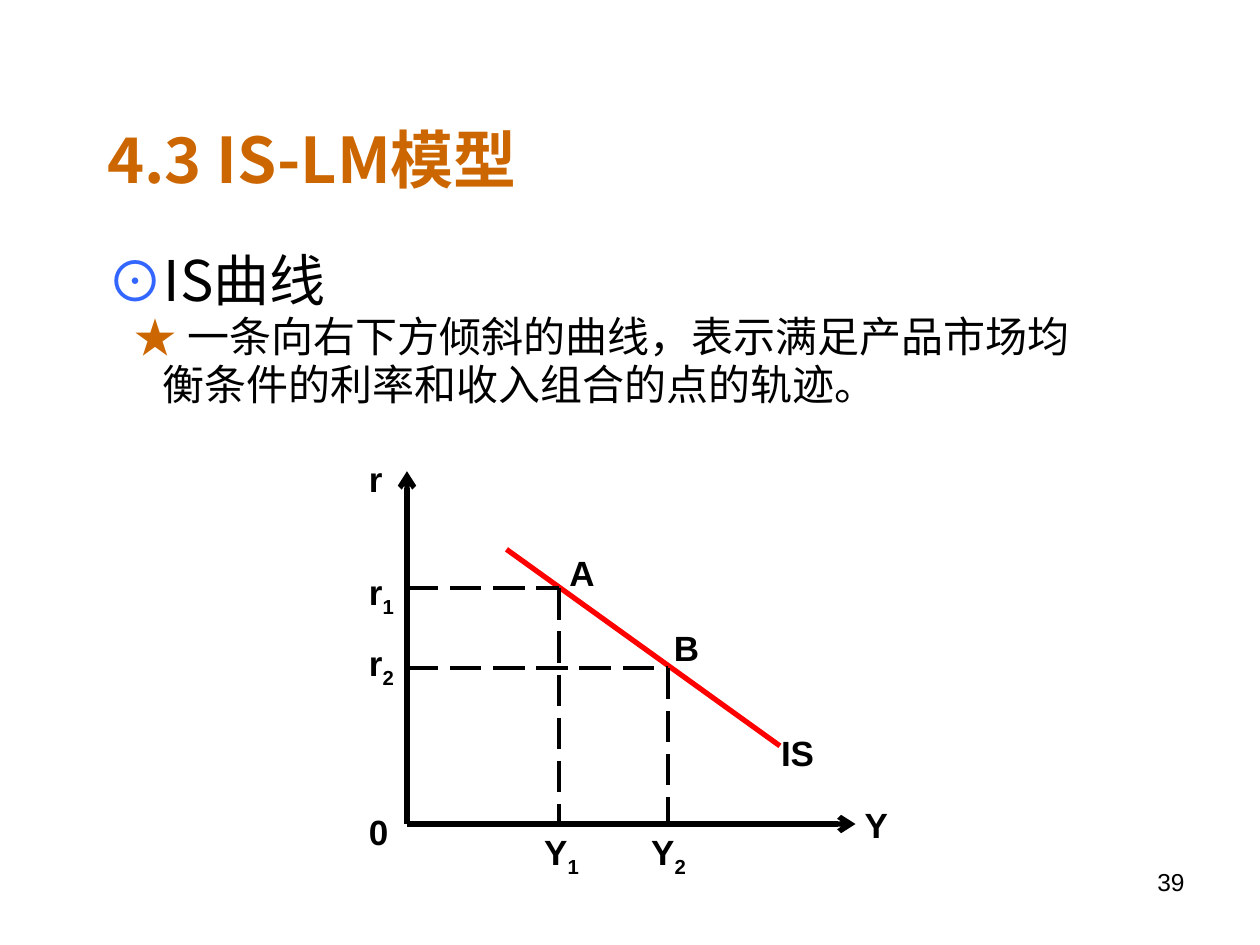
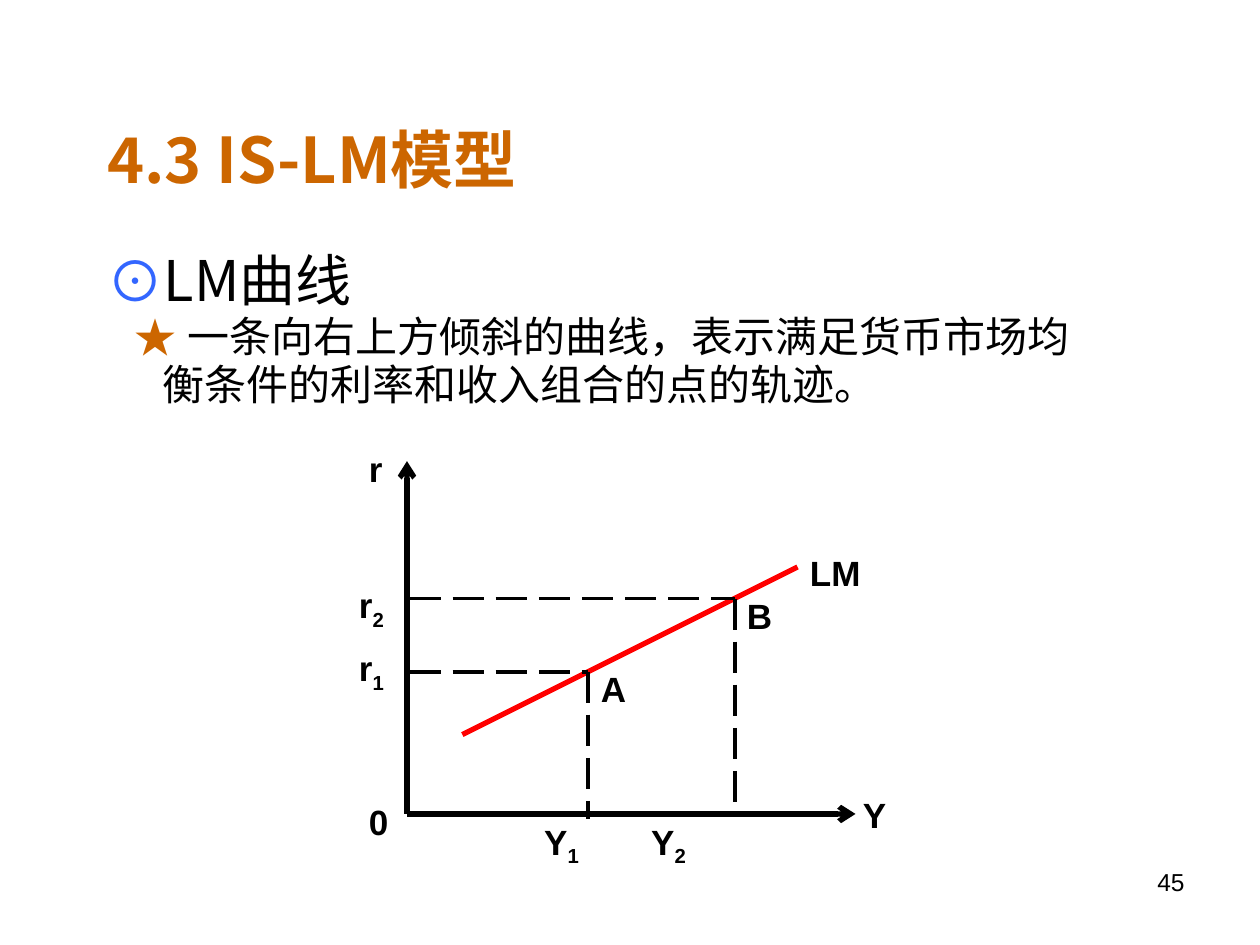
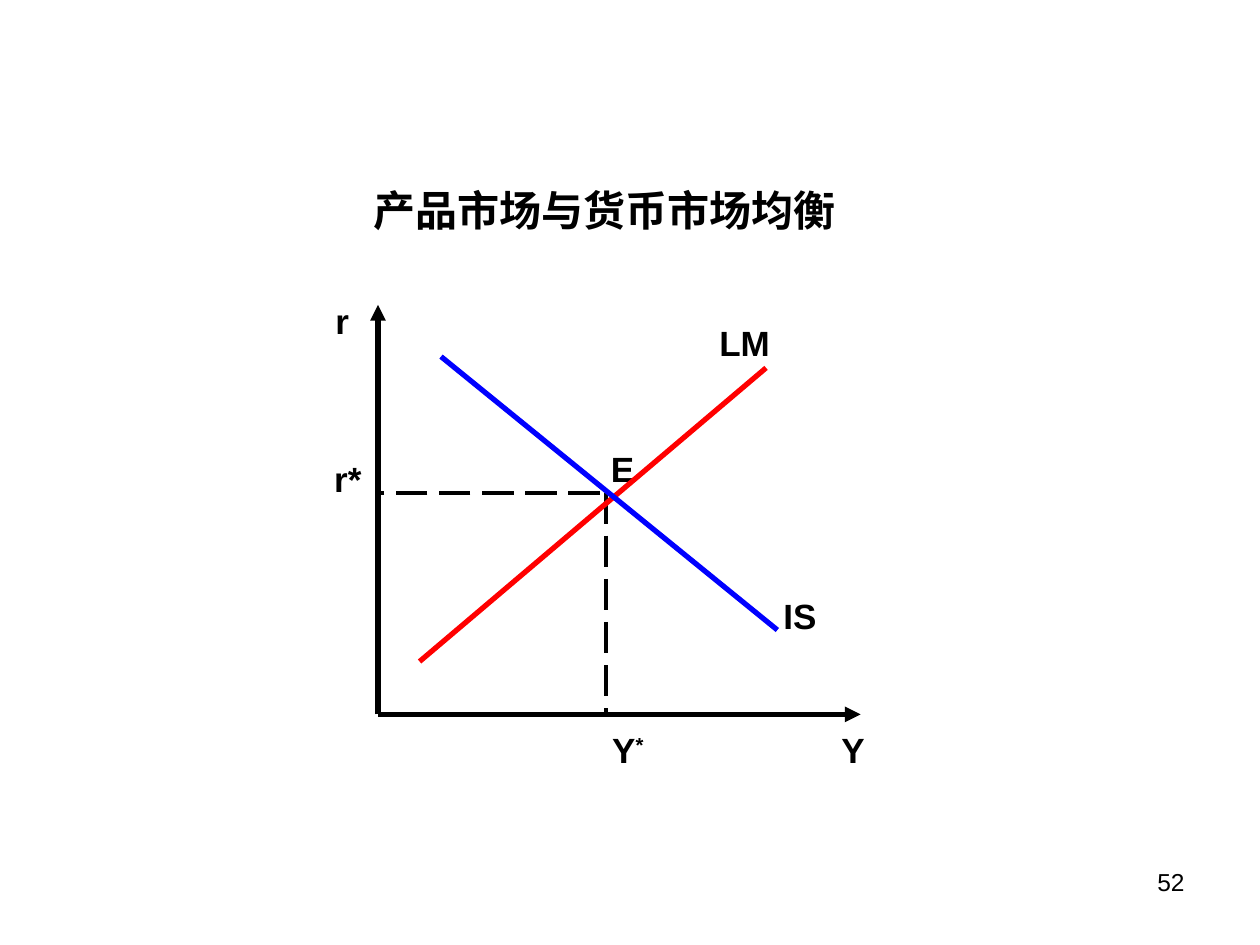
from dataclasses import dataclass

from lxml.etree import SubElement
from pptx import Presentation
from pptx.dml.color import RGBColor
from pptx.enum.dml import MSO_LINE
from pptx.enum.shapes import MSO_CONNECTOR
from pptx.enum.text import MSO_ANCHOR, MSO_AUTO_SIZE, PP_ALIGN
from pptx.oxml.ns import qn
from pptx.util import Inches, Pt


@dataclass(frozen=True)
class Theme:
    """Colours, fonts and sizes shared by all slides."""
    ink: str = "000000"
    accent: str = "CC6600"
    marker: str = "3366FF"
    red: str = "FF0000"
    blue: str = "0000FF"
    cjk: str = "Noto Sans CJK SC"
    latin: str = "Arial"
    title: int = 36
    topic: int = 32
    detail: int = 24
    label: int = 20
    number: int = 14
    heavy: float = 3
    light: float = 2.25


class Deck:
    """Holds the theme and the current slide, and draws each kind of element."""

    def __init__(self, theme):
        self.theme = theme
        self.prs = Presentation()
        self.prs.slide_width, self.prs.slide_height = Inches(10), Inches(7.5)
        self.slide = None

    def new_slide(self, layout_index, number):
        """Start a slide and write its page number."""
        self.slide = self.prs.slides.add_slide(self.prs.slide_layouts[layout_index])
        self.text(str(number), 7.17, 6.83, 2.33, 0.52, PP_ALIGN.RIGHT, self.theme.number, False)

    def format_run(self, run, size, color, face, bold=False):
        """Apply font, size and colour to a run."""
        font = run.font
        font.size, font.bold, font.name = Pt(size), bold, face
        font.color.rgb = RGBColor.from_string(color)
        SubElement(run._r.get_or_add_rPr(), qn("a:ea")).set("typeface", face)

    def place(self, shape, left, top, width, height):
        """Move and size a shape."""
        shape.left, shape.top = Inches(left), Inches(top)
        shape.width, shape.height = Inches(width), Inches(height)

    def title(self, wording, box, size, color, align=PP_ALIGN.LEFT):
        """Fill the title placeholder."""
        heading = self.slide.shapes.title
        self.place(heading, *box)
        frame = heading.text_frame
        frame.text = wording
        frame.vertical_anchor = MSO_ANCHOR.MIDDLE
        frame.auto_size = MSO_AUTO_SIZE.NONE
        frame.paragraphs[0].alignment = align
        self.format_run(frame.paragraphs[0].runs[0], size, color, self.theme.cjk, True)

    def body(self, topic, detail_lines):
        """Fill the body placeholder with a topic and its explanation."""
        theme = self.theme
        outline = self.slide.placeholders[1]
        self.place(outline, 0.75, 2, 8.42, 1.58)
        frame = outline.text_frame
        frame.text = "\n".join([topic, *detail_lines])
        frame.auto_size = MSO_AUTO_SIZE.NONE
        frame.vertical_anchor = MSO_ANCHOR.TOP
        styles = [
            (theme.topic, 0.45, -0.45, "⊙", theme.marker),
            (theme.detail, 0.64, -0.42, "★", theme.accent),
            (theme.detail, 0.44, 0, None, None),
        ]
        for paragraph, (size, margin, indent, symbol, color) in zip(frame.paragraphs, styles):
            paragraph.alignment = PP_ALIGN.JUSTIFY
            paragraph.line_spacing = 0.8
            paragraph.space_before = Pt(4.5)
            self.bullet(paragraph, margin, indent, symbol, color)
            self.format_run(paragraph.runs[0], size, theme.ink, theme.cjk)

    def bullet(self, paragraph, margin, indent, symbol, color):
        """Set the indents and the bullet of a paragraph."""
        props = paragraph._p.get_or_add_pPr()
        props.set("marL", str(Inches(margin)))
        props.set("indent", str(Inches(indent)))
        if symbol is None:
            SubElement(props, qn("a:buNone"))
            return
        SubElement(SubElement(props, qn("a:buClr")), qn("a:srgbClr")).set("val", color)
        SubElement(props, qn("a:buFont")).set("typeface", self.theme.cjk)
        SubElement(props, qn("a:buChar")).set("char", symbol)

    def text(self, wording, left, top, width, height, align, size, bold):
        """Add a one-line text box and return its paragraph."""
        box = self.slide.shapes.add_textbox(Inches(left), Inches(top), Inches(width), Inches(height))
        frame = box.text_frame
        frame.word_wrap = True
        paragraph = frame.paragraphs[0]
        paragraph.text = wording
        paragraph.alignment = align
        self.format_run(paragraph.runs[0], size, self.theme.ink, self.theme.latin, bold)
        return paragraph

    def label(self, wording, left, top, width=0.69, height=0.62,
              align=PP_ALIGN.JUSTIFY, script="", baseline=-25):
        """Add a diagram label with an optional raised or lowered mark."""
        theme = self.theme
        paragraph = self.text(wording, left, top, width, height, align, theme.label, True)
        if script:
            mark = paragraph.add_run()
            mark.text = script
            self.format_run(mark, theme.label, theme.ink, theme.latin, True)
            mark._r.get_or_add_rPr().set("baseline", str(baseline * 1000))

    def line(self, start, end, color, width, dashed=False, arrow=None):
        """Draw a straight line, optionally dashed or with an arrowhead."""
        points = [Inches(value) for value in (*start, *end)]
        connector = self.slide.shapes.add_connector(MSO_CONNECTOR.STRAIGHT, *points)
        connector.line.color.rgb = RGBColor.from_string(color)
        connector.line.width = Pt(width)
        if dashed:
            connector.line.dash_style = MSO_LINE.LONG_DASH
        if arrow:
            SubElement(connector.line._get_or_add_ln(), qn("a:tailEnd")).set("type", arrow)
        SubElement(connector._element.spPr, qn("a:effectLst"))

    def axes(self, origin, top, right, arrow):
        """Draw the interest and income axes from the origin."""
        for tip in ((origin[0], top), (right, origin[1])):
            self.line(origin, tip, self.theme.ink, self.theme.heavy, arrow=arrow)

    def curve(self, start, end, color):
        """Draw a market curve."""
        self.line(start, end, color, self.theme.heavy)

    def guide(self, start, end):
        """Draw a dashed guide line."""
        self.line(start, end, self.theme.ink, self.theme.light, dashed=True)

    def guides(self, point, left, bottom):
        """Project a point onto both axes."""
        self.guide((left, point[1]), point)
        self.guide(point, (point[0], bottom))

    def curve_slide(self, number, name, lines, base):
        """Lay out what the two single-curve slides have in common."""
        self.new_slide(1, number)
        self.title("4.3 IS-LM模型", (0.75, 0.92, 7.75, 0.67), self.theme.title, self.theme.accent)
        self.body(f"{name}曲线", lines)
        self.axes((3.23, base), base - 2.8, 6.79, "arrow")
        self.label("r", 2.83, base - 2.96)
        self.label("0", 2.83, base - 0.16)
        for index, left in (("1", 4.22), ("2", 5.07)):
            self.label("Y", left, base, script=index)


def is_slide(deck):
    """Build the IS curve slide."""
    deck.curve_slide(39, "IS", ["一条向右下方倾斜的曲线，表示满足产品市场均",
                                "衡条件的利率和收入组合的点的轨迹。"], 6.54)
    deck.curve((4.02, 4.36), (6.19, 5.92), deck.theme.red)
    for point in ((4.44, 4.67), (5.3, 5.3)):
        deck.guides(point, 3.23, 6.54)
    deck.label("r", 2.83, 4.48, script="1")
    deck.label("r", 2.83, 5.04, script="2")
    deck.label("A", 4.42, 4.33)
    deck.label("B", 5.25, 4.92)
    deck.label("IS", 6.1, 5.76)
    deck.label("Y", 6.58, 6.33, 0.75, 0.44, PP_ALIGN.CENTER)


def lm_slide(deck):
    """Build the LM curve slide."""
    deck.curve_slide(45, "LM", ["一条向右上方倾斜的曲线，表示满足货币市场均",
                                "衡条件的利率和收入组合的点的轨迹。"], 6.46)
    deck.curve((3.67, 5.83), (6.33, 4.5), deck.theme.red)
    deck.guides((4.67, 5.33), 3.25, 6.5)
    deck.guides((5.83, 4.75), 3.25, 6.42)
    deck.label("r", 2.75, 5.08, script="1")
    deck.label("r", 2.75, 4.58, script="2")
    deck.label("A", 4.67, 5.25)
    deck.label("B", 5.83, 4.67)
    deck.label("LM", 6.33, 4.33)
    deck.label("Y", 6.75, 6.25)


def equilibrium_slide(deck):
    """Build the slide where both curves meet."""
    theme = deck.theme
    deck.new_slide(5, 52)
    deck.title("产品市场与货币市场均衡", (2.67, 1.33, 4.25, 0.67),
               theme.detail, theme.ink, PP_ALIGN.CENTER)
    deck.guide((4.76, 3.91), (2.99, 3.91))
    deck.guide((4.81, 3.91), (4.81, 5.66))
    for wording, left, top, width in (
        ("r", 2.42, 2.33, 0.59),
        ("LM", 5.42, 2.5, 0.98),
        ("IS", 6.08, 4.67, 0.54),
        ("Y", 6.58, 5.73, 0.38),
        ("r*", 2.5, 3.58, 0.52),
        ("E", 4.75, 3.5, 0.38),
    ):
        deck.label(wording, left, top, width, 0.44, PP_ALIGN.CENTER)
    deck.label("Y", 4.76, 5.73, 0.59, 0.44, PP_ALIGN.LEFT, "*", 30)
    deck.axes((3, 5.67), 2.42, 6.83, "triangle")
    deck.curve((3.33, 5.25), (6.08, 2.92), theme.red)
    deck.curve((3.5, 2.83), (6.17, 5), theme.blue)


def main():
    """Build and save the deck."""
    deck = Deck(Theme())
    is_slide(deck)
    lm_slide(deck)
    equilibrium_slide(deck)
    deck.prs.save("out.pptx")


if __name__ == "__main__":
    main()
